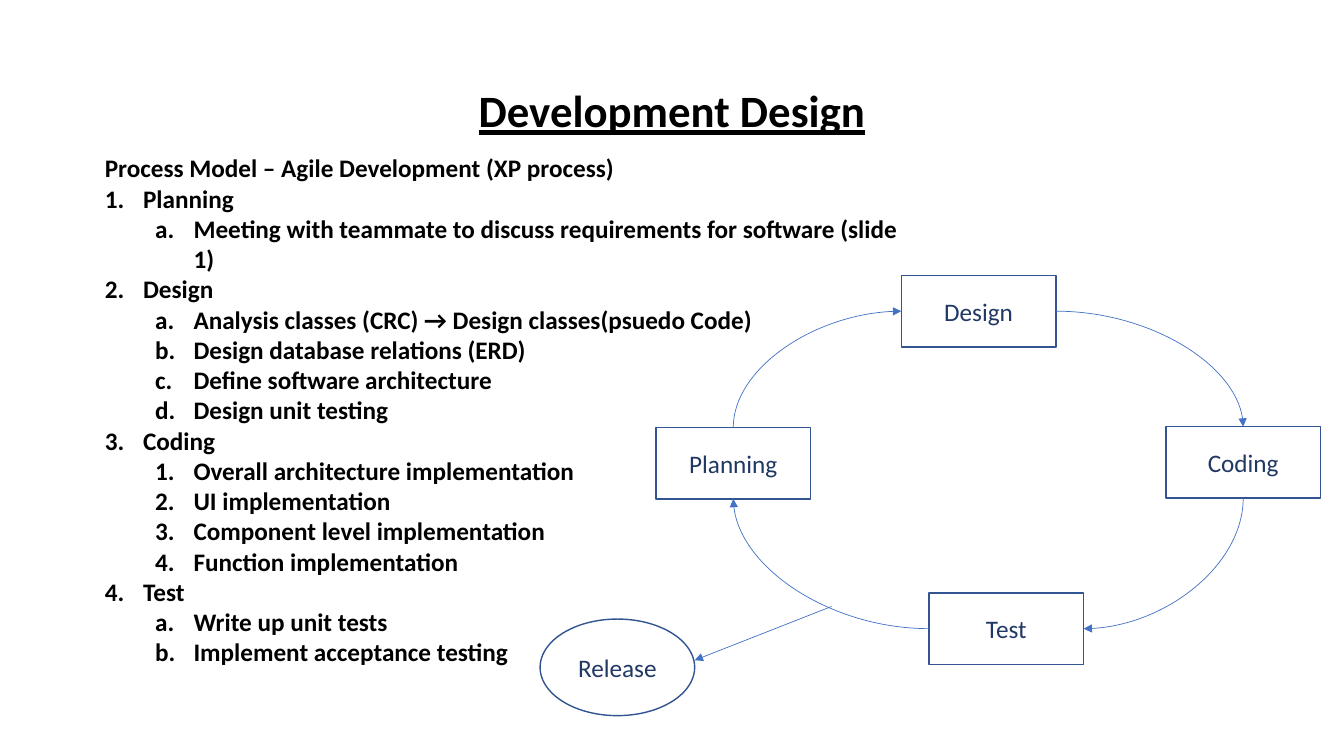
from pptx import Presentation
from pptx.dml.color import RGBColor
from pptx.enum.shapes import MSO_CONNECTOR, MSO_SHAPE
from pptx.enum.text import MSO_ANCHOR, MSO_AUTO_SIZE, PP_ALIGN
from pptx.oxml.xmlchemy import OxmlElement
from pptx.util import Inches, Pt

COLORS = {"text": "000000", "label": "203864", "outline": "325491", "arrow": "4472C4"}
COLUMNS, ROWS = 16, 9
TOP, LEFT, BOTTOM, RIGHT = range(4)  # connection sites of a rectangle


def apply(target, values):
    for name, value in values.items():
        setattr(target, name, value)


def add_child(parent, tag, **attributes):
    child = OxmlElement(tag)
    for name, value in attributes.items():
        child.set(name, str(value))
    parent.append(child)


class SlideBuilder:
    fonts = {
        "title": {"name": "Calibri", "size": Pt(32), "bold": True, "underline": True},
        "text": {"name": "Calibri", "size": Pt(18), "bold": True},
        "label": {"name": "Calibri", "size": Pt(18), "bold": False},
    }

    def __init__(self, deck):
        self.cell_width = deck.slide_width / COLUMNS
        self.cell_height = deck.slide_height / ROWS
        self.slide = deck.slides.add_slide(deck.slide_layouts[5])
        self.shapes = self.slide.shapes

    def place(self, column, row):
        return round(column * self.cell_width), round(row * self.cell_height)

    def box(self, column, row, width, height):
        return *self.place(column, row), *self.place(width, height)

    def add_words(self, paragraph, words, style, color):
        run = paragraph.add_run()
        run.text = words
        apply(run.font, self.fonts[style])
        run.font.color.rgb = RGBColor.from_string(COLORS[color])

    def title(self, words, *area):
        heading = self.shapes.title
        apply(heading, dict(zip(("left", "top", "width", "height"), self.box(*area))))
        apply(heading.text_frame, {"vertical_anchor": MSO_ANCHOR.MIDDLE,
                                   "auto_size": MSO_AUTO_SIZE.NONE})
        paragraph = heading.text_frame.paragraphs[0]
        apply(paragraph, {"alignment": PP_ALIGN.CENTER, "line_spacing": 0.9})
        self.add_words(paragraph, words, "title", "text")

    def outline(self, intro, phases, *area):
        frame = self.shapes.add_textbox(*self.box(*area)).text_frame
        apply(frame, {"word_wrap": True, "auto_size": MSO_AUTO_SIZE.SHAPE_TO_FIT_TEXT})
        self.add_words(frame.paragraphs[0], intro, "text", "text")
        for phase, numbering, steps in phases:
            self.numbered(frame, phase, 0, "arabicPeriod")
            for step in steps:
                self.numbered(frame, step, 1, numbering)

    def numbered(self, frame, words, level, numbering):
        paragraph = frame.add_paragraph()
        paragraph.level = level
        properties = paragraph._p.get_or_add_pPr()
        properties.set("marL", str(Inches(0.38 + 0.5 * level)))
        properties.set("indent", str(Inches(-0.38)))
        add_child(properties, "a:buFont", typeface="+mj-lt")
        add_child(properties, "a:buAutoNum", type=numbering)
        self.add_words(paragraph, words, "text", "text")

    def node(self, words, column, row, height=0.85, kind=MSO_SHAPE.RECTANGLE):
        node = self.shapes.add_shape(kind, *self.box(column, row, 1.84, height))
        node.shadow.inherit = False
        node.fill.background()
        node.line.color.rgb = RGBColor.from_string(COLORS["outline"])
        node.line.width = Pt(1)
        node.text_frame.vertical_anchor = MSO_ANCHOR.MIDDLE
        paragraph = node.text_frame.paragraphs[0]
        paragraph.alignment = PP_ALIGN.CENTER
        self.add_words(paragraph, words, "label", "label")
        return node

    def connector(self, kind, start, end, arrowhead):
        line = self.shapes.add_connector(kind, *start, *end)
        line.line.color.rgb = RGBColor.from_string(COLORS["arrow"])
        line.line.width = Pt(0.5)
        properties = line.element.spPr
        add_child(properties.get_or_add_ln(), arrowhead, type="triangle")
        add_child(properties, "a:effectLst")
        return line

    def arrow(self, start, end):
        self.connector(MSO_CONNECTOR.STRAIGHT, self.place(*start), self.place(*end), "a:tailEnd")

    def arc(self, side_node, side, end_node, end, arrowhead):
        """Quarter curve leaving side_node sideways and meeting end_node vertically."""
        curve = self.connector(MSO_CONNECTOR.CURVE, (0, 0), (0, 0), arrowhead)
        curve.begin_connect(side_node, side)
        curve.end_connect(end_node, end)
        curve.element.xpath("./p:spPr/a:prstGeom")[0].set("prst", "curvedConnector2")


deck = Presentation()
deck.slide_width, deck.slide_height = Inches(13.33), Inches(7.5)
page = SlideBuilder(deck)

# Process description
page.outline("Process Model – Agile Development (XP process)", [
    ("Planning", "alphaLcPeriod",
     ["Meeting with teammate to discuss requirements for software (slide 1)"]),
    ("Design", "alphaLcPeriod",
     ["Analysis classes (CRC) → Design classes(psuedo Code)",
      "Design database relations (ERD)",
      "Define software architecture",
      "Design unit testing"]),
    ("Coding", "arabicPeriod",
     ["Overall architecture implementation",
      "UI implementation",
      "Component level implementation",
      "Function implementation"]),
    ("Test", "alphaLcPeriod",
     ["Write up unit tests", "Implement acceptance testing"]),
], 1.13, 1.76, 9.73, 7.03)
page.title("Development Design", 1.1, 0.48, 13.8, 1.74)

# Development cycle
design = page.node("Design", 10.73, 3.28)
coding = page.node("Coding", 13.88, 5.08)
planning = page.node("Planning", 7.81, 5.09)
test = page.node("Test", 11.06, 7.06)
for link in [(design, LEFT, planning, TOP, "a:headEnd"),
             (test, LEFT, planning, BOTTOM, "a:tailEnd"),
             (design, RIGHT, coding, TOP, "a:tailEnd"),
             (test, RIGHT, coding, BOTTOM, "a:headEnd")]:
    page.arc(*link)

# Release branch
page.arrow((9.9, 7.22), (8.27, 7.86))
page.node("Release", 6.43, 7.37, 1.15, MSO_SHAPE.OVAL)

deck.save("out.pptx")
